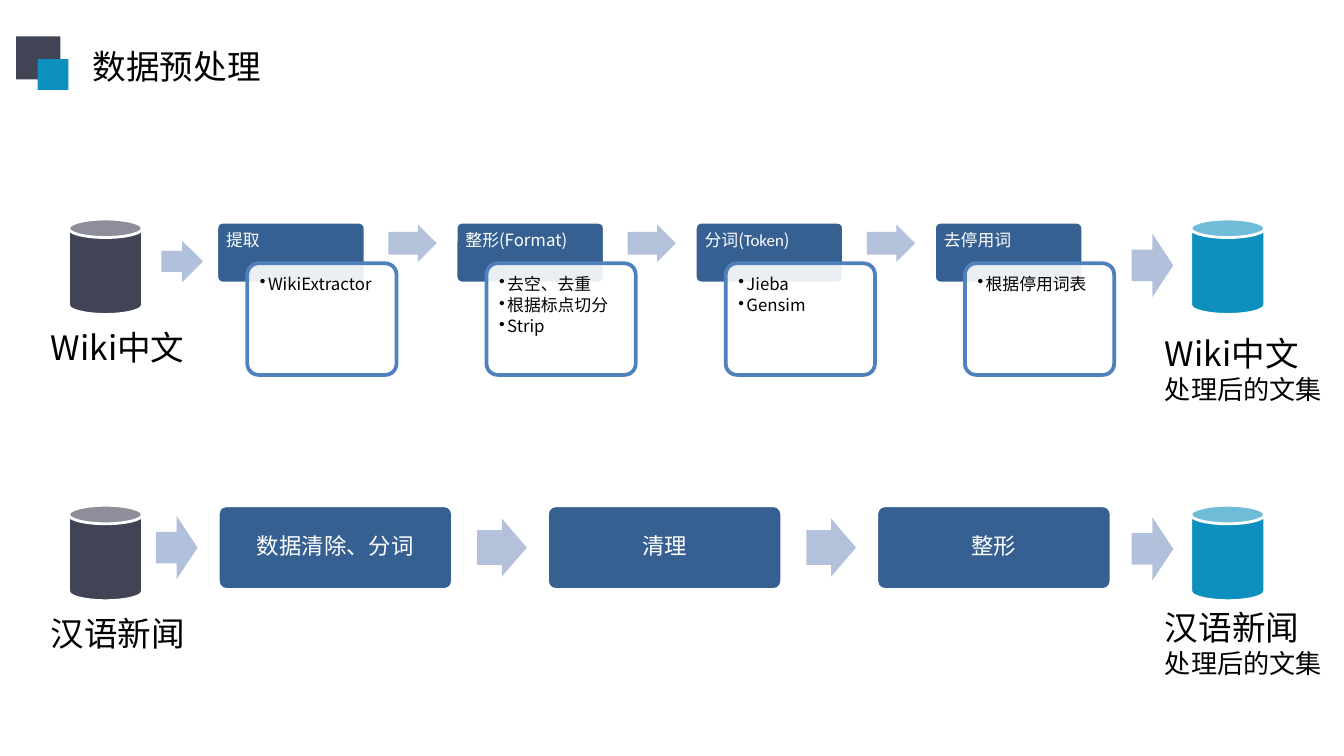
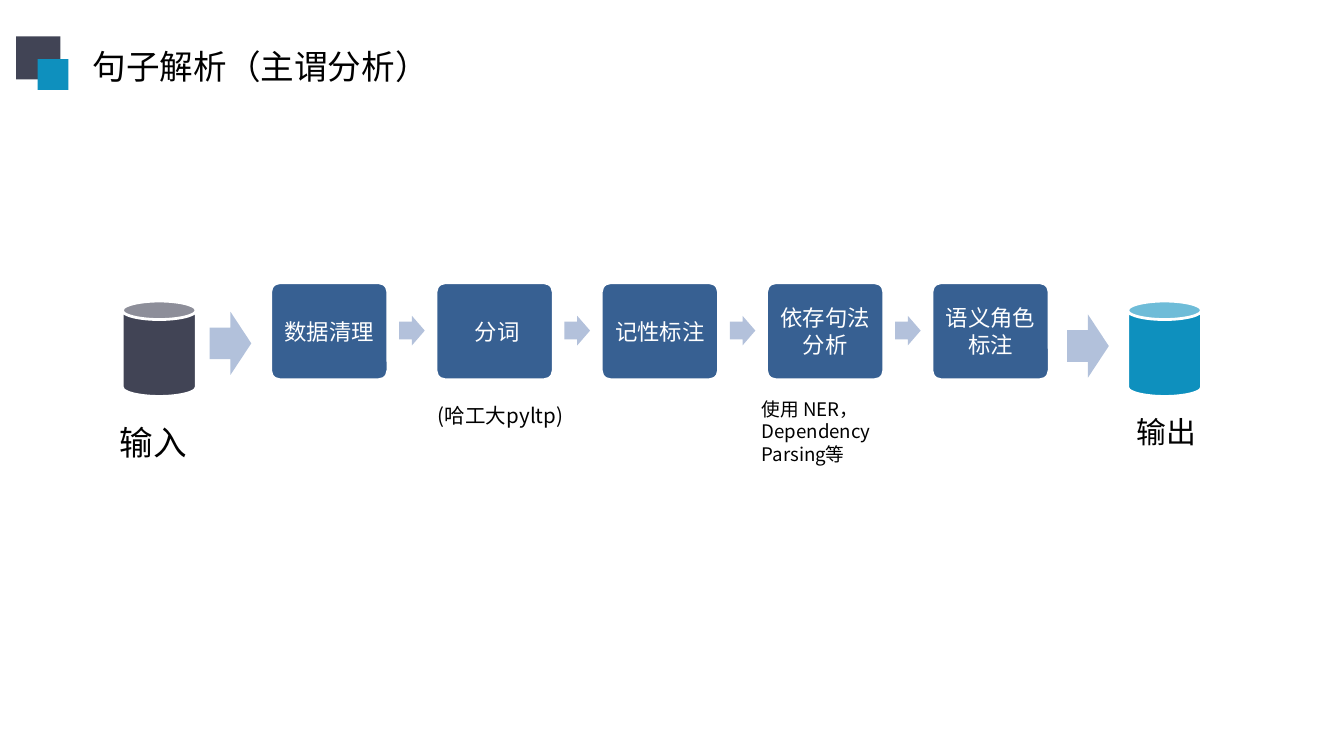
import pptx
import pptx.util
import pptx.dml.color
import pptx.enum.shapes
import pptx.enum.text
import pptx.oxml
import pptx.oxml.ns

Inches = pptx.util.Inches
RGB = pptx.dml.color.RGBColor
Kind = pptx.enum.shapes.MSO_SHAPE
Align = pptx.enum.text.PP_ALIGN
Anchor = pptx.enum.text.MSO_ANCHOR

DARK = RGB(0x41, 0x44, 0x55)
CYAN = RGB(0x0E, 0x90, 0xBE)
NAVY = RGB(0x37, 0x60, 0x92)
EDGE = RGB(0x4F, 0x81, 0xBD)
PALE = RGB(0xB3, 0xC1, 0xDB)
SOFT = RGB(0xB2, 0xC1, 0xDB)
WHITE = RGB(0xFF, 0xFF, 0xFF)
BLACK = RGB(0, 0, 0)
FONT = "Noto Sans CJK SC"


def draw(slide, kind, box, fill, line=None, width=2, adj=()):
    """Add a flat preset shape; box is left, top, width, height in inches."""
    shape = slide.shapes.add_shape(kind, *[Inches(v) for v in box])
    shape.shadow.inherit = False
    shape.fill.solid()
    shape.fill.fore_color.rgb = fill
    if line is None:
        shape.line.fill.background()
    else:
        shape.line.color.rgb = line
        shape.line.width = pptx.util.Pt(width)
    for i, value in enumerate(adj):
        shape.adjustments[i] = value
    return shape


def write(shape, lines, sizes, color=BLACK, align=Align.LEFT, anchor=Anchor.TOP,
          pad=None, space=None, bullet=False):
    """Fill a shape with one paragraph per line; a line may be a list of runs."""
    frame = shape.text_frame
    frame.word_wrap = True
    frame.vertical_anchor = anchor
    if pad is not None:
        frame.margin_left = frame.margin_right = Inches(pad)
        frame.margin_top = frame.margin_bottom = Inches(pad)
    for i, line in enumerate(lines):
        para = frame.paragraphs[0] if i == 0 else frame.add_paragraph()
        for part in [line] if isinstance(line, str) else line:
            para.add_run().text = part
        para.alignment = align
        if space:
            para.line_spacing = space
        props = para._p.get_or_add_pPr()
        if bullet:
            para.space_after = pptx.util.Pt(1.6)
            props.set("marL", str(Inches(0.06)))
            props.set("indent", str(-Inches(0.06)))
            mark = pptx.oxml.parse_xml(f'<a:buChar {pptx.oxml.ns.nsdecls("a")} char="•"/>')
            props.append(mark)
        para.font.size = pptx.util.Pt(sizes[i % len(sizes)])
        para.font.color.rgb = color
        para.font.name = FONT
        east = pptx.oxml.parse_xml(
            f'<a:ea {pptx.oxml.ns.nsdecls("a")} typeface="{FONT}"/>')
        props.find(pptx.oxml.ns.qn("a:defRPr")).append(east)
    return frame


deck = pptx.Presentation()
deck.slide_width = Inches(10)
deck.slide_height = deck.slide_width * 9 // 16

# Title and corner squares
slides = []
for text, width in [("数据预处理", 1.46), ("句子解析（主谓分析）", 2.76)]:
    slide = deck.slides.add_slide(deck.slide_layouts[5])
    title = slide.shapes.title
    title.left, title.top = Inches(0.59), Inches(0.29)
    title.width, title.height = Inches(width), Inches(0.4)
    write(title, [text], [18]).word_wrap = False
    draw(slide, Kind.RECTANGLE, (0.12, 0.27, 0.33, 0.32), DARK)
    draw(slide, Kind.RECTANGLE, (0.28, 0.44, 0.23, 0.23), CYAN)
    slides.append(slide)
prep, syntax = slides

# Wiki stages: header with a bullet card on top
stages = [
    ("提取", ["WikiExtractor"]),
    ("整形(Format)", ["去空、去重", "根据标点切分", "Strip"]),
    (["分词(", "Token", ")"], ["Jieba", "Gensim"]),
    ("去停用词", ["根据停用词表"]),
]
for i, (name, notes) in enumerate(stages):
    x = 1.61 + 1.78 * i
    head = draw(prep, Kind.ROUNDED_RECTANGLE, (x, 1.65, 1.11, 0.46), NAVY, WHITE, adj=[0.1])
    frame = write(head, [name], [9], WHITE, pad=0.06, space=0.9)
    for run in frame.paragraphs[0].runs:
        if run.text == "Token":
            run.font.name = "Calibri"
    card = draw(prep, Kind.ROUNDED_RECTANGLE, (x + 0.23, 1.96, 1.11, 0.83), WHITE, EDGE, adj=[0.1])
    tint = card._element.spPr.xpath("./a:solidFill/a:srgbClr")[0]
    tint.append(pptx.oxml.parse_xml(f'<a:alpha {pptx.oxml.ns.nsdecls("a")} val="90000"/>'))
    write(card, notes, [9], pad=0.07, space=0.9, bullet=True)
    if i < len(stages) - 1:
        draw(prep, Kind.RIGHT_ARROW, (x + 1.28, 1.67, 0.36, 0.28), PALE, adj=[0.6, 0.5])

# Plain step chains: slide, names, first box, pitch, arrow offset and size, line spacing
chains = [
    (prep, ["数据清除、分词", "清理", "整形"],
     (1.62, 3.76, 1.75, 0.63), 2.45, (1.93, 0.1, 0.37, 0.43), 0.9),
    (syntax, ["数据清理", " 分词", "记性标注", "依存句法分析", "语义角色标注"],
     (2.01, 2.1, 0.88, 0.73), 1.23, (0.96, 0.25, 0.19, 0.22), None),
]
for slide, names, (left, top, wide, high), pitch, (dx, dy, w, h), space in chains:
    for i, name in enumerate(names):
        x = left + pitch * i
        step = draw(slide, Kind.ROUNDED_RECTANGLE, (x, top, wide, high), NAVY, WHITE, adj=[0.1])
        write(step, [name], [12], WHITE, Align.CENTER, Anchor.MIDDLE, 0.05, space)
        if i < len(names) - 1:
            draw(slide, Kind.RIGHT_ARROW, (x + dx, top + dy, w, h), PALE, adj=[0.6, 0.5])

# Data stores, each with its arrow
stores = [
    (prep, DARK, 0.51, 1.63, (1.2, 1.79, 0.31, 0.31)),
    (prep, DARK, 0.51, 3.76, (1.16, 3.84, 0.31, 0.47)),
    (prep, CYAN, 8.86, 3.76, (8.42, 3.85, 0.31, 0.47)),
    (prep, CYAN, 8.86, 1.63, (8.42, 1.74, 0.31, 0.47)),
    (syntax, DARK, 0.91, 2.24, (1.56, 2.32, 0.31, 0.47)),
    (syntax, CYAN, 8.39, 2.24, (7.94, 2.34, 0.31, 0.47)),
]
for slide, color, x, y, arrow in stores:
    draw(slide, Kind.CAN, (x, y, 0.55, 0.71), color, WHITE, 1.5)
    draw(slide, Kind.RIGHT_ARROW, arrow, SOFT)

# Labels
labels = [
    (prep, (0.28, 2.38, 1.67, 0.4), ["Wiki中文"], [18]),
    (prep, (0.28, 4.51, 1.67, 0.4), ["汉语新闻"], [18]),
    (prep, (8.57, 2.43, 1.67, 0.64), ["Wiki中文", "处理后的文集"], [18, 14]),
    (prep, (8.57, 4.47, 1.67, 0.64), ["汉语新闻", "处理后的文集"], [18, 14]),
    (syntax, (0.79, 3.09, 0.78, 0.4), ["输入"], [18]),
    (syntax, (8.36, 3.03, 0.83, 0.37), ["输出"], [16]),
    (syntax, (5.57, 2.91, 1.18, 0.61), ["使用 NER，Dependency Parsing等"], [10]),
    (syntax, (3.16, 2.95, 1.29, 0.47), ["(哈工大pyltp)"], [11]),
]
for slide, box, lines, sizes in labels:
    write(slide.shapes.add_textbox(*[Inches(v) for v in box]), lines, sizes)

deck.save("out.pptx")
